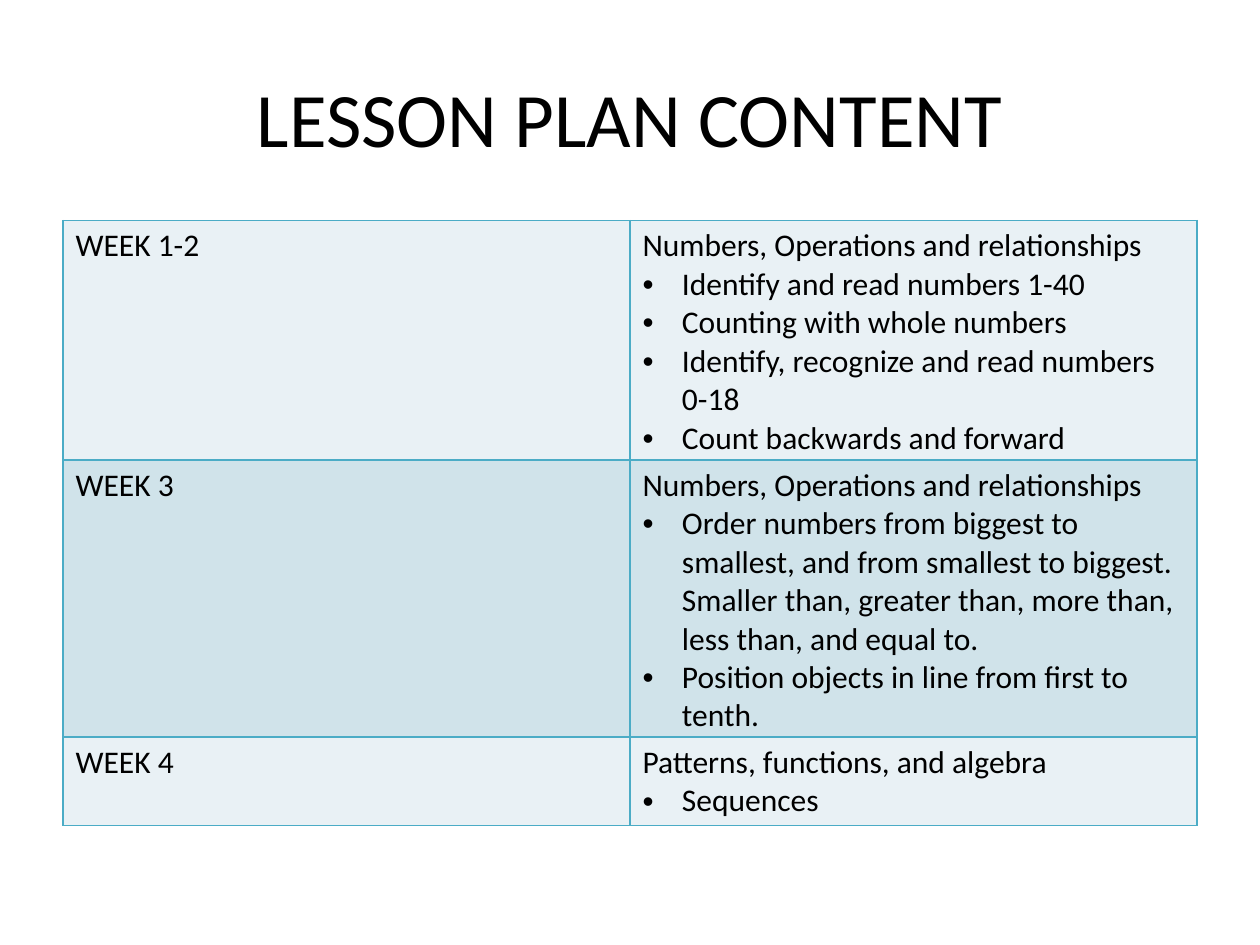
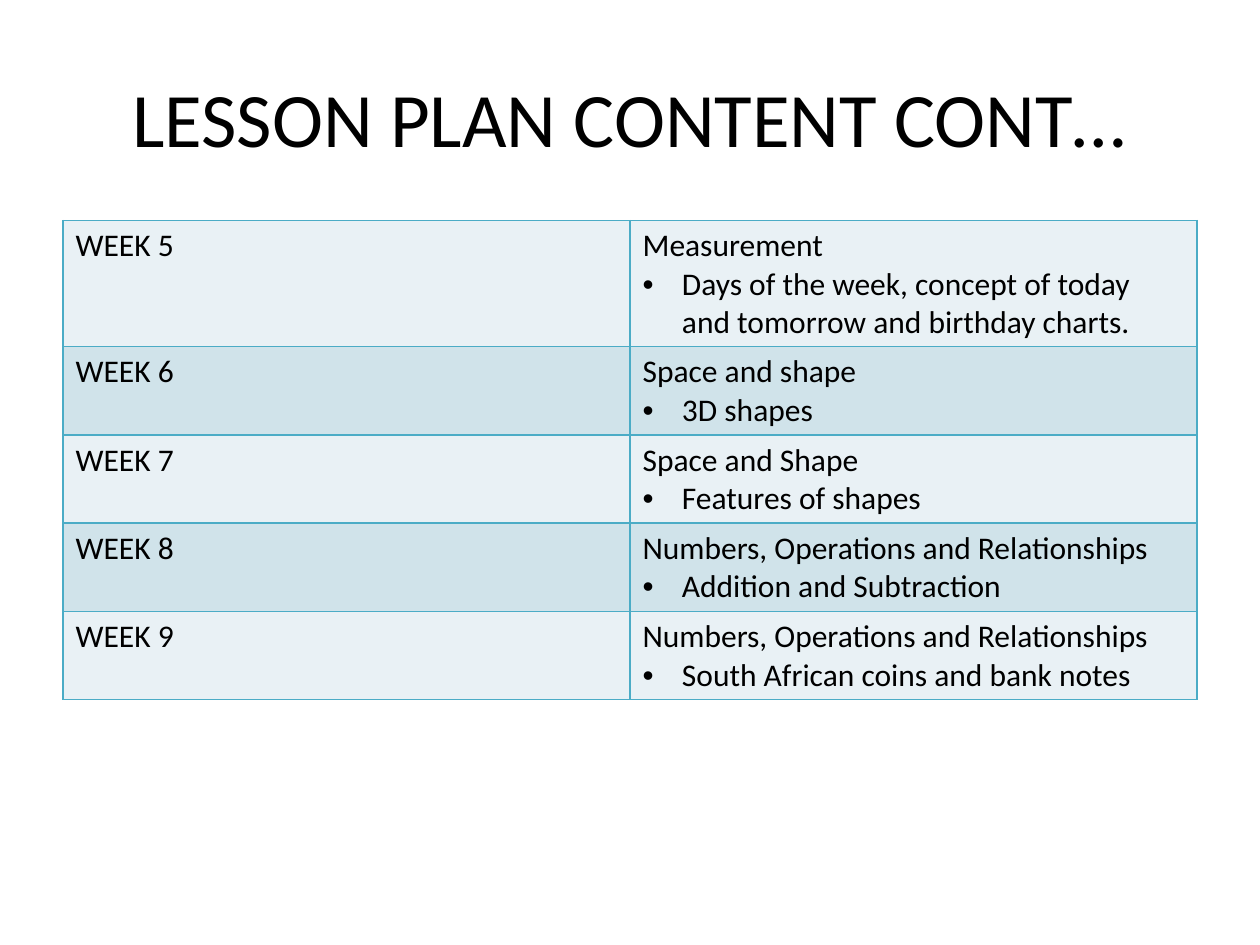
from dataclasses import dataclass

from lxml import etree
from pptx import Presentation
from pptx import util as u
from pptx.dml.color import RGBColor
from pptx.enum import text
from pptx.oxml import ns

FONT = "Calibri"
INK = "000000"
EDGE = "4BACC6"
BANDS = ("E9F1F5", "D0E3EA")
LEFT, WIDTH = 36, 648
INDENT = 22.5
ROW = 29.2


@dataclass
class Week:
    name: str
    theme: str
    points: list[str]


@dataclass
class Plan:
    title: str
    height: float
    weeks: list[Week]


PLANS = [
    Plan("LESSON PLAN CONTENT", 345.6, [
        Week("WEEK 1-2", "Numbers, Operations and relationships", [
            "Identify and read numbers 1-40",
            "Counting with whole numbers",
            "Identify, recognize and read numbers 0-18",
            "Count backwards and forward",
        ]),
        Week("WEEK 3", "Numbers, Operations and relationships", [
            "Order numbers from biggest to smallest, and from smallest to "
            "biggest. Smaller than, greater than, more than, less than, "
            "and equal to.",
            "Position objects in line from first to tenth.",
        ]),
        Week("WEEK 4", "Patterns, functions, and algebra", ["Sequences"]),
    ]),
    Plan("LESSON PLAN CONTENT CONT…", 273.6, [
        Week("WEEK 5", "Measurement", [
            "Days of the week, concept of today and tomorrow and birthday "
            "charts.",
        ]),
        Week("WEEK 6", "Space and shape", ["3D shapes"]),
        Week("WEEK 7", "Space and Shape", ["Features of shapes"]),
        Week("WEEK 8", "Numbers, Operations and Relationships",
             ["Addition and Subtraction"]),
        Week("WEEK 9", "Numbers, Operations and Relationships",
             ["South African coins and bank notes"]),
    ]),
]


def color(code: str) -> RGBColor:
    return RGBColor.from_string(code)


def style(para, size: float) -> None:
    para.font.name = FONT
    para.font.size = u.Pt(size)
    para.font.color.rgb = color(INK)


def bullet(para) -> None:
    """Give the paragraph a hanging bullet; call before setting its font."""
    props = para._p.get_or_add_pPr()
    props.set("marL", str(u.Pt(INDENT)))
    props.set("indent", str(-u.Pt(INDENT)))
    etree.SubElement(props, ns.qn("a:buFont"), typeface="Arial")
    etree.SubElement(props, ns.qn("a:buChar"), char="•")


def border(cell) -> None:
    props = cell._tc.get_or_add_tcPr()
    for side in ("lnL", "lnR", "lnT", "lnB"):
        line = etree.SubElement(props, ns.qn(f"a:{side}"), w=str(u.Pt(1)))
        fill = etree.SubElement(line, ns.qn("a:solidFill"))
        etree.SubElement(fill, ns.qn("a:srgbClr"), val=EDGE)


def write(cell, head: str, points: list[str], band: str) -> None:
    border(cell)
    cell.fill.solid()
    cell.fill.fore_color.rgb = color(band)
    frame = cell.text_frame
    frame.text = head
    style(frame.paragraphs[0], 18)
    for point in points:
        para = frame.add_paragraph()
        para.text = point
        bullet(para)
        style(para, 18)


def add_title(slide, words: str) -> None:
    box = slide.shapes.add_textbox(
        u.Pt(LEFT), u.Pt(21.6), u.Pt(WIDTH), u.Pt(90))
    frame = box.text_frame
    frame.word_wrap = True
    frame.vertical_anchor = text.MSO_ANCHOR.MIDDLE
    para = frame.paragraphs[0]
    para.text = words
    para.alignment = text.PP_ALIGN.CENTER
    style(para, 44)


def add_weeks(slide, plan: Plan) -> None:
    shape = slide.shapes.add_table(
        len(plan.weeks), 2,
        u.Pt(LEFT), u.Pt(126), u.Pt(WIDTH), u.Pt(plan.height))
    table = shape.table
    table.first_row = table.horz_banding = False
    for i, week in enumerate(plan.weeks):
        table.rows[i].height = u.Pt(ROW)
        band = BANDS[i % 2]
        write(table.cell(i, 0), week.name, [], band)
        write(table.cell(i, 1), week.theme, week.points, band)
    # Row heights are minimums; the frame keeps the grown height.
    shape.height = u.Pt(plan.height)


def main() -> None:
    deck = Presentation()
    deck.slide_width, deck.slide_height = u.Pt(720), u.Pt(540)
    for plan in PLANS:
        slide = deck.slides.add_slide(deck.slide_layouts[6])
        add_title(slide, plan.title)
        add_weeks(slide, plan)
    deck.save("out.pptx")


if __name__ == "__main__":
    main()
